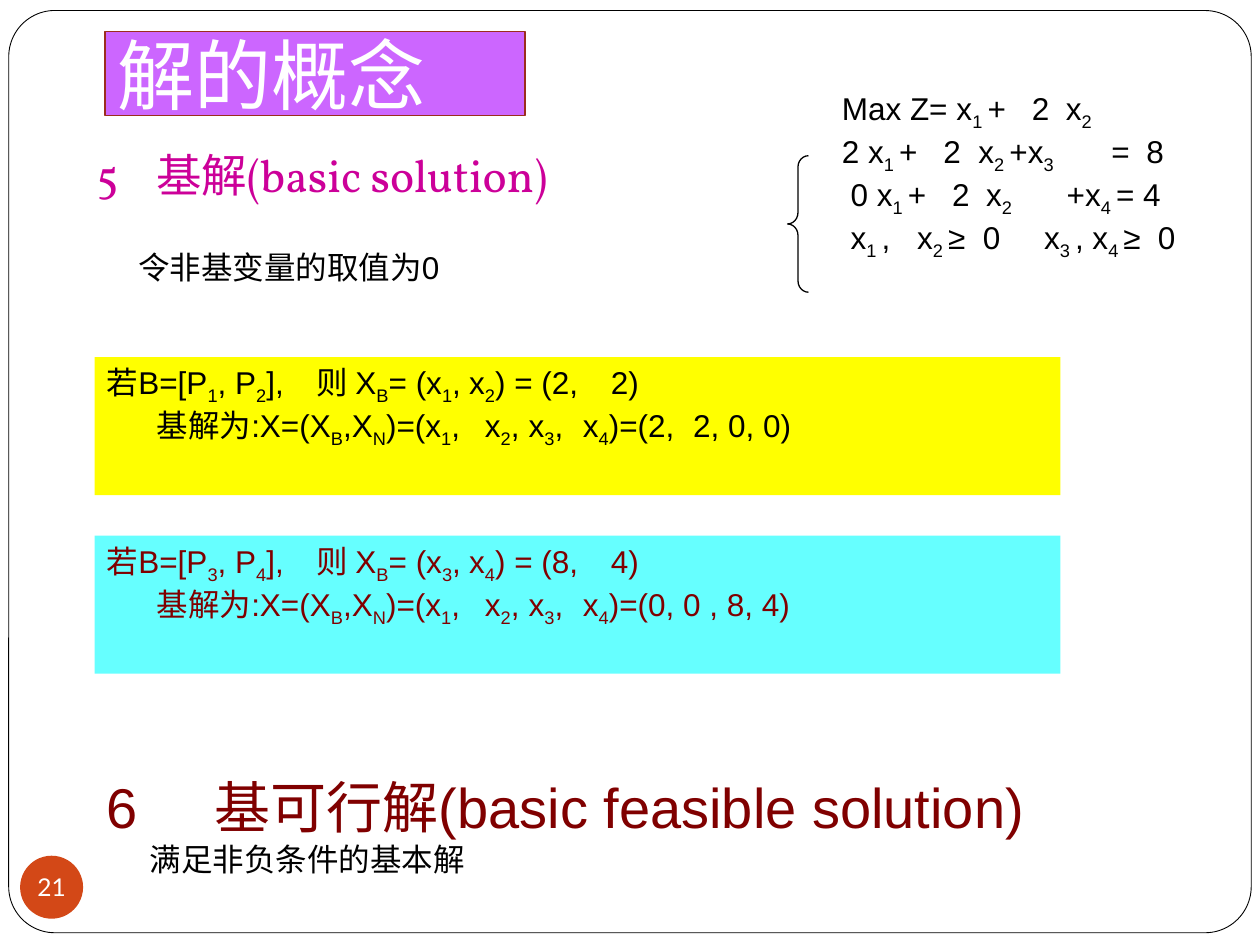
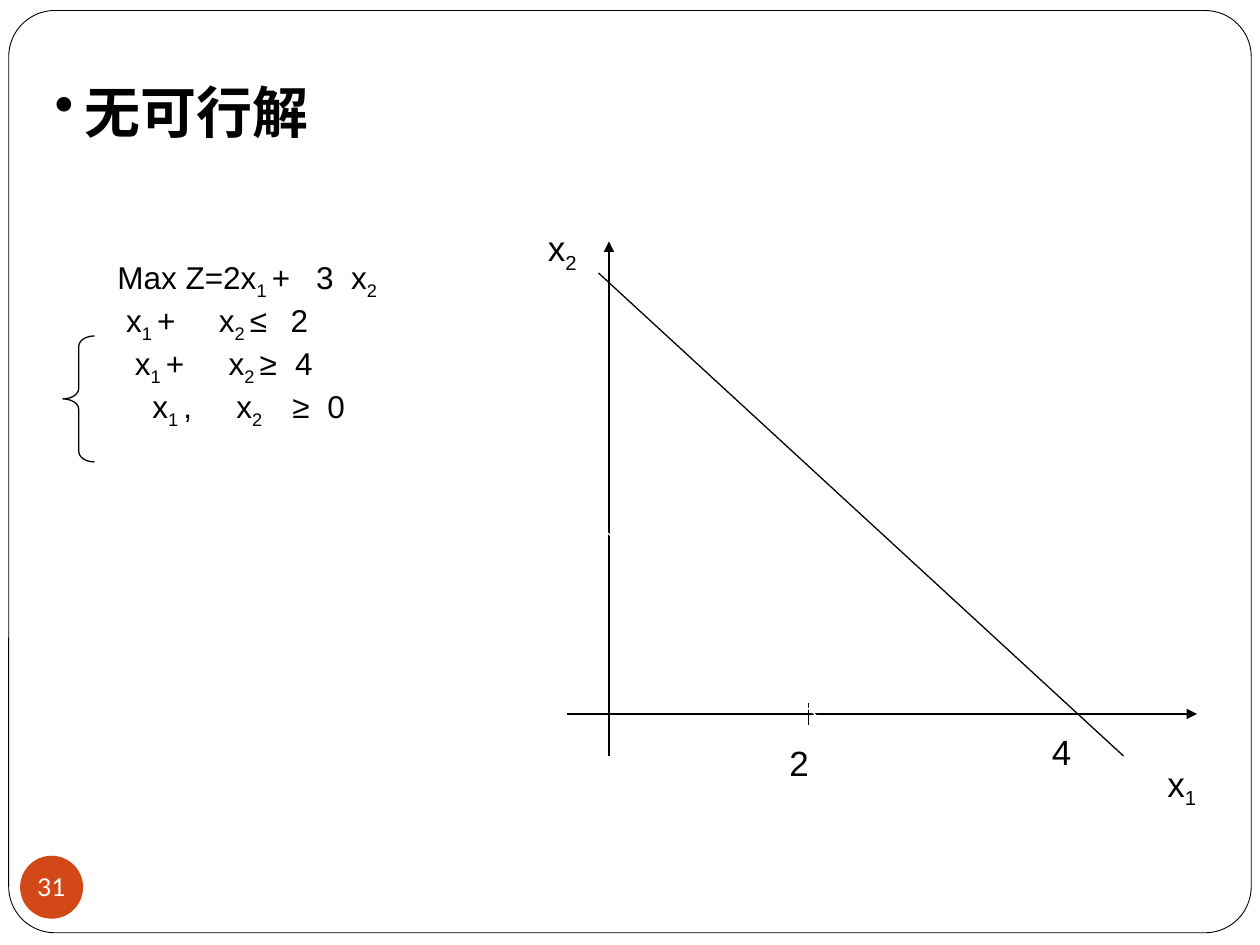
from lxml import etree
from pptx import Presentation
from pptx.dml import color
from pptx.enum import shapes, text
from pptx.oxml import ns
from pptx.util import Pt

COLORS = {
    "black": "000000", "white": "FFFFFF", "badge": "D34817",
    "banner": "CC66FF", "banner_line": "9B2D1F", "heading": "CC0099",
    "yellow": "FFFF00", "cyan": "66FFFF", "maroon": "800000",
}
SANS, BODY, SERIF, HEADING = "Arial", "Lato", "Times New Roman", "Vollkorn"
MIDDLE = text.MSO_ANCHOR.MIDDLE

# Text lines are (text, tab stops in points); "_" lowers the next character.
CONCEPTS = {
    "number": "21",
    "title": ("解的概念", (60, 18, 240, 48)),
    "heading": ("5\t基解(basic solution)", (48, 84, 390, 42)),
    "note": ([("令非基变量的取值为0", [])], (72, 138, 312, 36)),
    "model": ([
        ("Max Z= x_1 +\t2\tx_2", [108.5, 128]),
        ("2 x_1 +\t2\tx_2 +x_3\t=\t8", [58, 78, 154, 174]),
        ("\t0 x_1 +\t2\tx_2\t+x_4 = 4", [5, 63, 82.5, 128.5]),
        ("\tx_1 ,\tx_2 ≥\t0\tx_3 , x_4 ≥\t0", [5, 43, 80.5, 115.5, 180.5]),
    ], (474, 47.5, 216, 127)),
    "brace": ((450, 89, 12, 78), 0.54),
}
BARS = [
    ("yellow", "black", [
        ("若B=[P_1, P_2],\t则 X_B= (x_1,\tx_2) = (2,\t2)", [120, 207, 288]),
        ("\t基解为:X=(X_B,X_N)=(x_1,\tx_2,\tx_3,\tx_4)=(2,\t2, 0, 0)",
         [28.5, 216, 241, 272, 335]),
    ]),
    ("cyan", "maroon", [
        ("若B=[P_3, P_4],\t则 X_B= (x_3,\tx_4) = (8,\t4)", [120, 207, 288]),
        ("\t基解为:X=(X_B,X_N)=(x_1,\tx_2,\tx_3,\tx_4)=(0, 0 , 8, 4)",
         [28.5, 216, 241, 272]),
    ]),
]
BAR_BOX, BAR_STEP = (54, 204, 552, 79), 102
FEASIBLE_BOX = (54, 438, 588, 88)
FEASIBLE = [
    ("6\t基可行解(basic feasible solution)", [61.5], 32, "maroon"),
    ("\t满足非负条件的基本解", [24.5], 18, "black"),
]
INFEASIBLE = {
    "number": "31",
    "title": ("无可行解", (24, 24, 186, 66)),
    "model": ([
        ("Max Z=2x_1 +\t3\tx_2", [113.5, 133.5]),
        ("\tx_1 +\tx_2 ≤\t2", [5, 58, 99]),
        ("\tx_1 +\tx_2 ≥\t4", [10, 63.5, 101.5]),
        ("\tx_1 ,\tx_2\t≥\t0", [20, 68, 100, 120]),
    ], (60, 144, 198, 127)),
    "brace": ((36, 192, 18, 72), 0.33),
}
PLOT_LINES = [  # x1, y1, x2, y2, colour, arrow
    (324, 408, 684, 408, "black", True),
    (348, 432, 348, 138, "black", True),
    (462, 402, 462, 414, "black", False),
    (294, 258, 486, 426, "white", False),
    (342, 156, 642, 432, "black", False),
]
PLOT_LABELS = [  # text, left, top, width
    ("2", 444, 420, 54), ("x_1", 660, 432, 36),
    ("x_2", 306, 126, 42), ("4", 594, 414, 48),
]


def rgb(name):
    """Return the named colour."""
    return color.RGBColor.from_string(COLORS[name])


def add_xml(parent, tag, **attrs):
    """Append a DrawingML element with the given attributes."""
    return etree.SubElement(parent, ns.qn(tag), attrs)


def paint(s, fill=None, line=None, width=0.75):
    """Set fill and outline; None leaves either one empty."""
    if fill:
        s.fill.solid()
        s.fill.fore_color.rgb = rgb(fill)
    else:
        s.fill.background()
    if line:
        s.line.color.rgb = rgb(line)
        s.line.width = Pt(width)
    else:
        s.line.fill.background()


def shape(slide, kind, box, **look):
    """Add a preset shape without shadow."""
    s = slide.shapes.add_shape(kind, *map(Pt, box))
    s.shadow.inherit = False
    paint(s, **look)
    return s


def style(r, size, font, hue, bold=False):
    """Format one run."""
    r.font.size, r.font.name, r.font.bold = Pt(size), font, bold
    r.font.color.rgb = rgb(hue)


def write(p, line, size=18, hue="black", font=SANS):
    """Write a line with subscripts and tab stops into a paragraph."""
    words, stops = line
    p.alignment = text.PP_ALIGN.LEFT
    head, *rest = words.split("_")
    pieces = [(head, False)]
    for part in rest:
        cut = 2 if part[1:2] == " " else 1
        pieces += [(part[:cut], True), (part[cut:], False)]
    for words, low in pieces:
        if words:
            r = p.add_run()
            r.text = words
            style(r, size, font, hue)
            if low:
                r.font._element.set("baseline", "-25000")
    if stops:
        tabs = add_xml(p._p.get_or_add_pPr(), "a:tabLst")
        for stop in stops:
            add_xml(tabs, "a:tab", pos=str(Pt(stop)), algn="l")


def write_lines(s, lines, size=18, hue="black"):
    """Fill a shape with lines from its top left corner."""
    tf = s.text_frame
    tf.word_wrap, tf.vertical_anchor = True, text.MSO_ANCHOR.TOP
    for i, line in enumerate(lines):
        p = tf.add_paragraph() if i else tf.paragraphs[0]
        write(p, line, size, hue)


def text_box(slide, lines, box, size=18):
    """Add a wrapped text box."""
    s = slide.shapes.add_textbox(*map(Pt, box))
    write_lines(s, lines, size)


def fill_placeholder(sp, words, box, anchor, size, font, hue, bold=False):
    """Move a placeholder, set its text and return its paragraph."""
    sp.left, sp.top, sp.width, sp.height = map(Pt, box)
    tf = sp.text_frame
    tf.text = words
    tf.auto_size, tf.vertical_anchor = text.MSO_AUTO_SIZE.NONE, anchor
    p = tf.paragraphs[0]
    p.alignment = text.PP_ALIGN.LEFT
    style(p.runs[0], size, font, hue, bold)
    return p


def hang(p, indent, bullet=None):
    """Give a paragraph a hanging indent and an optional bullet."""
    pPr = p._p.get_or_add_pPr()
    pPr.set("marL", str(Pt(indent)))
    pPr.set("indent", str(-Pt(indent)))
    if bullet:
        add_xml(pPr, "a:buChar", char=bullet)
    else:
        add_xml(pPr, "a:buNone")


def line(slide, x1, y1, x2, y2, hue, arrow):
    """Draw a straight line, with an arrowhead at its end if asked."""
    s = slide.shapes.add_connector(
        shapes.MSO_CONNECTOR.STRAIGHT, *map(Pt, (x1, y1, x2, y2)))
    s.line.color.rgb, s.line.width = rgb(hue), Pt(0.75)
    if arrow:
        add_xml(s.line._get_or_add_ln(), "a:tailEnd", type="triangle")
    add_xml(s.element.spPr, "a:effectLst")


def add_frame(prs, slide):
    """Put the rounded page frame on the slide master."""
    s = shape(slide, shapes.MSO_SHAPE.ROUNDED_RECTANGLE, (5, 6, 710, 527),
              fill="white", line="black", width=0.5)
    s.adjustments[0] = 0.05
    prs.slide_master.shapes.element.insert(2, s.element)


def add_number(slide, number):
    """Add the round page number badge."""
    s = shape(slide, shapes.MSO_SHAPE.OVAL, (11.5, 489, 36, 36), fill="badge")
    tf = s.text_frame
    tf.margin_left = tf.margin_right = tf.margin_top = tf.margin_bottom = 0
    tf.word_wrap, tf.vertical_anchor = False, MIDDLE
    tf.text = number
    p = tf.paragraphs[0]
    p.alignment = text.PP_ALIGN.CENTER
    style(p.runs[0], 14, BODY, "white")


def add_model(slide, content):
    """Add a linear programme with its left brace."""
    text_box(slide, *content["model"])
    box, curl = content["brace"]
    s = shape(slide, shapes.MSO_SHAPE.LEFT_BRACE, box, line="black")
    s.adjustments[0] = curl


def build_concepts(slide):
    """Build the slide on basic solutions."""
    add_number(slide, CONCEPTS["number"])
    title, body = slide.placeholders
    fill_placeholder(title, *CONCEPTS["title"], MIDDLE, 44, SERIF, "white")
    paint(title, "banner", "banner_line")
    p = fill_placeholder(body, *CONCEPTS["heading"], text.MSO_ANCHOR.TOP,
                         26, HEADING, "heading")
    p.line_spacing, p.space_before = 0.9, Pt(5.8)
    hang(p, 34)
    text_box(slide, *CONCEPTS["note"])
    left, top, width, height = BAR_BOX
    for i, (fill, hue, lines) in enumerate(BARS):
        s = shape(slide, shapes.MSO_SHAPE.RECTANGLE,
                  (left, top + i * BAR_STEP, width, height), fill=fill)
        write_lines(s, lines, hue=hue)
    s = slide.shapes.add_textbox(*map(Pt, FEASIBLE_BOX))
    tf = s.text_frame
    tf.word_wrap = True
    for i, (words, stops, size, hue) in enumerate(FEASIBLE):
        p = tf.add_paragraph() if i else tf.paragraphs[0]
        write(p, (words, stops), size, hue)
    add_model(slide, CONCEPTS)


def build_infeasible(slide):
    """Build the slide on a programme without feasible solution."""
    add_number(slide, INFEASIBLE["number"])
    title = slide.shapes.title
    p = fill_placeholder(title, *INFEASIBLE["title"], text.MSO_ANCHOR.BOTTOM,
                         32, BODY, "black", True)
    title.text_frame.margin_bottom = Pt(7.2)
    hang(p, 17, "•")
    add_model(slide, INFEASIBLE)
    for item in PLOT_LINES:
        line(slide, *item)
    for words, left, top, width in PLOT_LABELS:
        text_box(slide, [(words, [])], (left, top, width, 31), 20)


prs = Presentation()
prs.slide_width, prs.slide_height = Pt(720), Pt(540)
concepts = prs.slides.add_slide(prs.slide_layouts[1])
infeasible = prs.slides.add_slide(prs.slide_layouts[5])
add_frame(prs, concepts)
build_concepts(concepts)
build_infeasible(infeasible)
prs.save("out.pptx")
